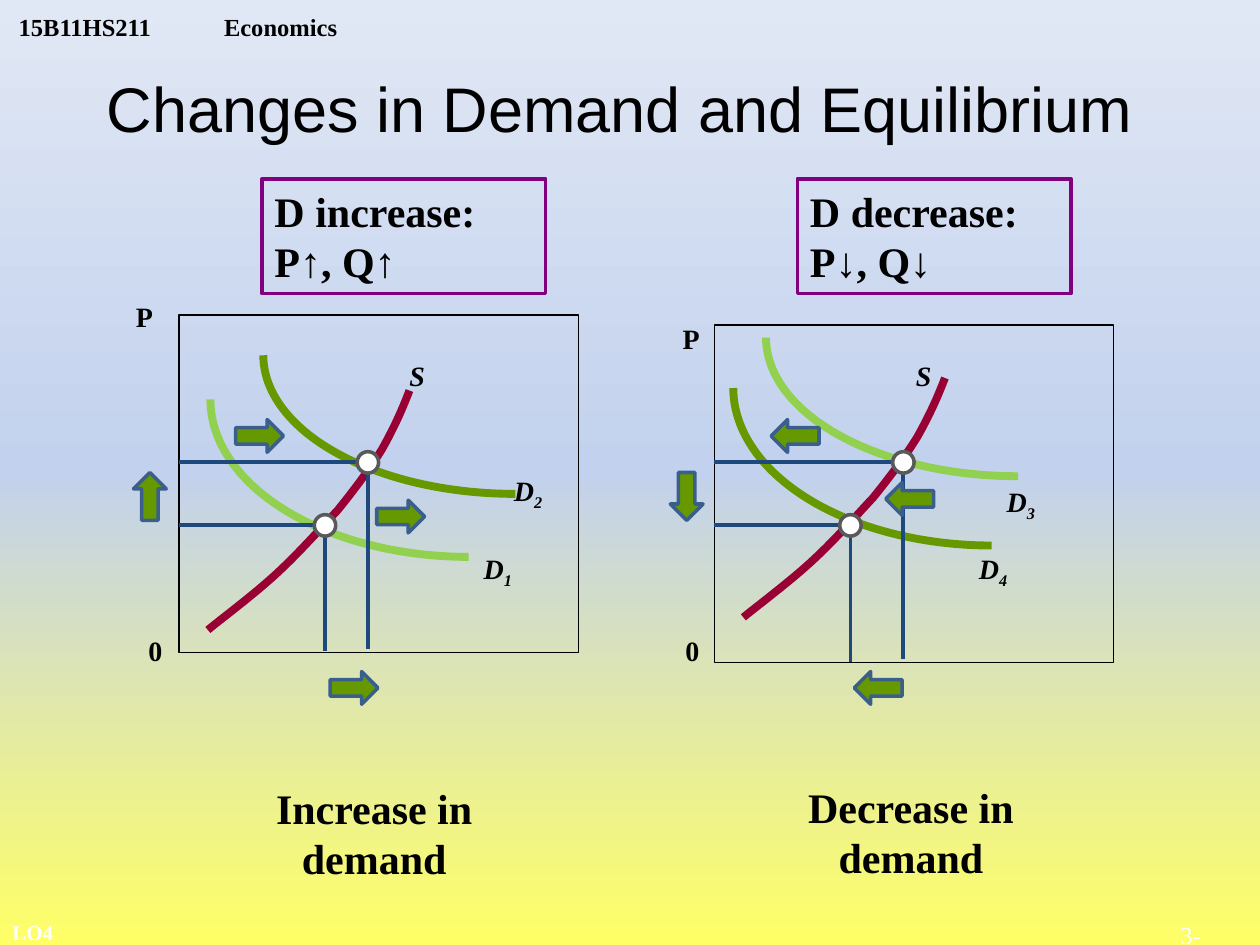
from copy import deepcopy
from pptx import Presentation
from pptx.dml.color import RGBColor as RGB
from pptx.enum.shapes import MSO_CONNECTOR as Link, MSO_SHAPE as Kind
from pptx.enum.text import MSO_ANCHOR as Anchor, PP_ALIGN as Align
from pptx.oxml import parse_xml
from pptx.oxml.ns import nsdecls, qn
from pptx.util import Inches, Pt

BLACK, WHITE = RGB(0, 0, 0), RGB(255, 255, 255)
NAVY, STEEL = RGB(0x1F, 0x49, 0x7D), RGB(0x3A, 0x5F, 0x8C)
GREEN, LIME = RGB(0x66, 0x99, 0x00), RGB(0x92, 0xD0, 0x50)
RED, PURPLE = RGB(0x99, 0x00, 0x33), RGB(0x80, 0x00, 0x80)
GRAY = RGB(0x59, 0x59, 0x59)
SKY = [(0, RGB(0xFF, 0xFF, 0x66)), (0.5, RGB(0xC2, 0xD1, 0xED)),
       (1, RGB(0xE1, 0xE8, 0xF5))]

# Supply curve, relative to its top left corner: start, then cubic segments
SUPPLY = [(1.6, 0), (1.54, 0.16), (1.47, 0.31), (1.38, 0.47),
          (1.28, 0.63), (1.16, 0.79), (1.03, 0.95),
          (0.89, 1.1), (0.74, 1.27), (0.57, 1.43),
          (0.4, 1.59), (0.2, 1.74), (0, 1.9)]
BIG, SMALL = (4.1, 2.5), (4, 2.2)

# demand: left, top, ellipse size, colour; label: text, subscript, left, top
# point: x, y, foot of the drop line; arrow: centre x, centre y, kind
PANELS = [
    dict(frame=(1.42, 2.5, 3.17, 2.68), supply=(1.65, 3.1),
         demand=[(1.67, 1.92, BIG, LIME), (2.09, 1.72, SMALL, GREEN)],
         labels=[("P", "", 0.98, 2.33), ("0", "", 1.08, 4.98),
                 ("S", "", 3.15, 2.8), ("D", "1", 3.74, 4.33),
                 ("D", "2", 3.98, 3.71)],
         points=[(2.58, 4.17, 5.17), (2.92, 3.67, 5.15)],
         arrows=[(2.06, 3.46, Kind.RIGHT_ARROW), (3.18, 4.1, Kind.RIGHT_ARROW),
                 (2.81, 5.46, Kind.RIGHT_ARROW), (1.19, 3.94, Kind.UP_ARROW)],
         rule=["D increase:", "P↑, Q↑"], rule_at=(2.08, 1.42, 2.25, 0.91),
         caption="Increase in demand", caption_at=(1.67, 6.16, 2.6, 0.9)),
    dict(frame=(5.67, 2.58, 3.17, 2.68), supply=(5.9, 3),
         demand=[(6.08, 1.58, SMALL, LIME), (5.82, 1.83, BIG, GREEN)],
         labels=[("P", "", 5.32, 2.5), ("0", "", 5.34, 4.98),
                 ("S", "", 7.17, 2.8), ("D", "3", 7.89, 3.8),
                 ("D", "4", 7.67, 4.33)],
         points=[(6.75, 4.17, 5.25), (7.17, 3.67, 5.23)],
         arrows=[(6.31, 3.46, Kind.LEFT_ARROW), (7.22, 3.96, Kind.LEFT_ARROW),
                 (6.97, 5.46, Kind.LEFT_ARROW), (5.45, 3.94, Kind.DOWN_ARROW)],
         rule=["D decrease:", "P↓, Q↓"], rule_at=(6.33, 1.42, 2.17, 0.91),
         caption="Decrease in demand", caption_at=(5.88, 6.15, 2.7, 0.9)),
]

deck = Presentation()
deck.slide_width, deck.slide_height = Inches(10), Inches(7.5)
slide = deck.slides.add_slide(deck.slide_layouts[6])
shapes = slide.shapes


def paint(shape, fill, color, width):
    shape.shadow.inherit = False
    if fill is None:
        shape.fill.background()
    else:
        shape.fill.solid()
        shape.fill.fore_color.rgb = fill
    shape.line.color.rgb = color
    shape.line.width = Pt(width)
    return shape


def draw(kind, at, fill, color, width):
    return paint(shapes.add_shape(kind, *map(Inches, at)), fill, color, width)


def write(lines, at, size=24, font="Times New Roman", bold=True, italic=False,
          color=BLACK, align=Align.LEFT, anchor=Anchor.TOP, wrap=True,
          sub="", pad=0.05, tab=None):
    box = shapes.add_textbox(*map(Inches, at))
    frame = box.text_frame
    frame.word_wrap, frame.vertical_anchor = wrap, anchor
    frame.margin_top = frame.margin_bottom = Inches(pad)
    for i, line in enumerate(lines):
        para = frame.add_paragraph() if i else frame.paragraphs[0]
        para.alignment = align
        if tab:
            para._p.get_or_add_pPr().append(parse_xml(
                f'<a:tabLst {nsdecls("a")}><a:tab pos="{Inches(tab)}" algn="l"/></a:tabLst>'))
        for text, low in [(line, False), (sub, True)]:
            if not text:
                continue
            run = para.add_run()
            run.text = text
            face = run.font
            face.name, face.size = font, Pt(size)
            face.bold, face.italic = bold, italic
            face.color.rgb = color
            if low:
                run._r.get_or_add_rPr().set("baseline", "-25000")
    return box


def rule_line(x1, y1, x2, y2):
    line = shapes.add_connector(Link.STRAIGHT, *map(Inches, (x1, y1, x2, y2)))
    line.line.color.rgb, line.line.width = NAVY, Pt(2.25)
    line._element.spPr.append(parse_xml(f'<a:effectLst {nsdecls("a")}/>'))


def trace(nodes, steps=12):
    """Points along a chain of cubic curves."""
    out = [nodes[0]]
    for i in range(0, len(nodes) - 1, 3):
        a, b, c, d = nodes[i:i + 4]
        for t in (n / steps for n in range(1, steps + 1)):
            u = 1 - t
            out.append(tuple(u**3 * p + 3 * u * u * t * q + 3 * u * t * t * r + t**3 * s
                             for p, q, r, s in zip(a, b, c, d)))
    return out


def add_supply(left, top):
    first, *rest = [(Inches(left + x), Inches(top + y)) for x, y in trace(SUPPLY)]
    path = shapes.build_freeform(*first)
    path.add_line_segments(rest, close=False)
    paint(path.convert_to_shape(), None, RED, 4.5)


def add_demand(left, top, size, color):
    """Lower left quarter of an ellipse."""
    arc = draw(Kind.ARC, (left, top, *size), None, color, 4.5)
    arc.adjustments[0], arc.adjustments[1] = 54, 108


def add_panel(panel):
    draw(Kind.RECTANGLE, panel["frame"], None, BLACK, 0.75)
    add_supply(*panel["supply"])
    for curve in panel["demand"]:
        add_demand(*curve)
    for x, y, foot in panel["points"]:
        rule_line(x, y, panel["frame"][0], y)
        rule_line(x, y, x, foot)
    for x, y, _ in panel["points"]:
        draw(Kind.OVAL, (x - 0.085, y - 0.085, 0.17, 0.17), WHITE, GRAY, 2)
    for x, y, kind in panel["arrows"]:
        wide = kind in (Kind.LEFT_ARROW, Kind.RIGHT_ARROW)
        w, h = (0.38, 0.26) if wide else (0.26, 0.38)
        draw(kind, (x - w / 2, y - h / 2, w, h), GREEN, STEEL, 2)
    for text, sub, x, y in panel["labels"]:
        write([text], (x, y, 0.45 if sub else 0.35, 0.37), size=16,
              italic=text in "SD", sub=sub, wrap=False)
    box = write(panel["rule"], panel["rule_at"])
    box.line.color.rgb, box.line.width = PURPLE, Pt(2.25)
    write([panel["caption"]], panel["caption_at"], align=Align.CENTER)


back = slide.background.fill
back.gradient()
back.gradient_angle = 90
stops = slide.element.find(".//" + qn("a:gsLst"))
stops.append(deepcopy(stops[0]))
for stop, (place, color) in zip(back.gradient_stops, SKY):
    stop.position, stop.color.rgb = place, color

write(["15B11HS211\tEconomics"], (0.05, 0, 3.2, 0.33), size=14,
      anchor=Anchor.BOTTOM, pad=0, tab=1.63)
write(["Changes in Demand and Equilibrium"], (0.42, 0.5, 9, 1.25), size=36,
      font="Arial", bold=False, align=Align.CENTER)
for panel in PANELS:
    add_panel(panel)
write(["LO4"], (0, 7.25, 0.53, 0.3), size=12, color=WHITE, wrap=False)
write(["3-10"], (9.27, 7.25, 0.48, 0.33), size=14, bold=False, color=WHITE)

deck.save("out.pptx")
